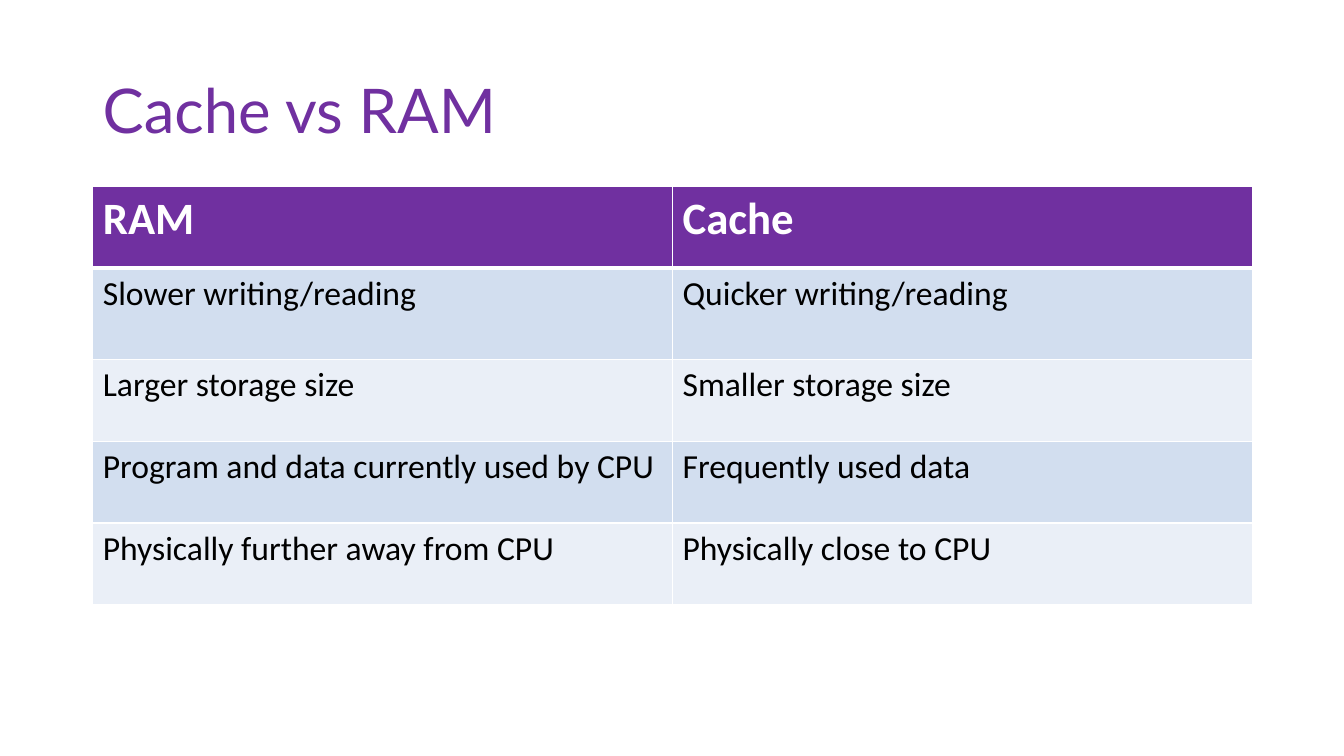
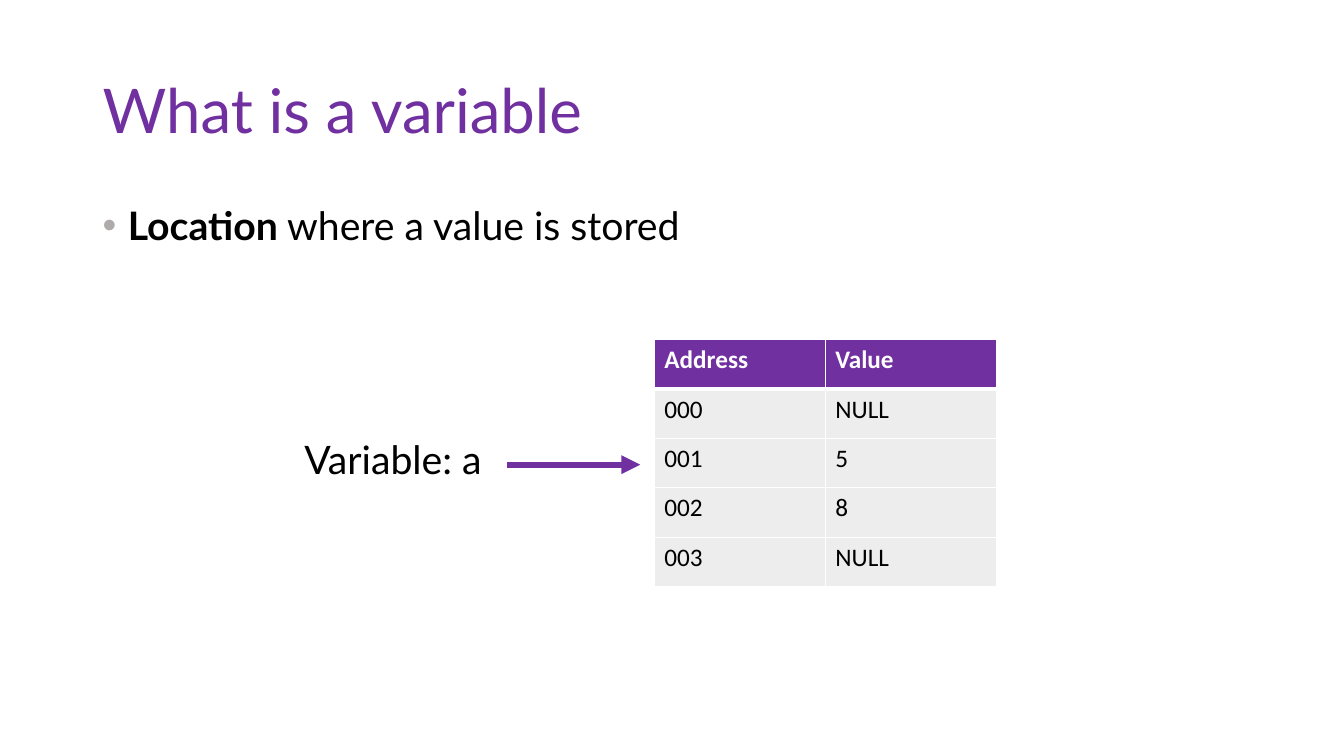
"""Builds two slides on memory and variables."""
from lxml.etree import SubElement
from pptx import Presentation
from pptx.dml.color import RGBColor
from pptx.enum.shapes import MSO_CONNECTOR
from pptx.enum.text import MSO_ANCHOR
from pptx.oxml import parse_xml
from pptx.oxml.ns import nsdecls, qn
from pptx.util import Inches, Pt

COLORS = {
    "purple": "7030A0",
    "white": "FFFFFF",
    "black": "000000",
    "bullet": "AFABAB",
    "blue band": "D2DEEF",
    "pale band": "EAEFF7",
    "gray band": "EDEDED",
}
HEADING_FONT = "Lato"
TABLE_FONT = "Calibri"
LEFT, WIDTH = 0.92, 11.5


def color(name):
    """Return the named colour."""
    return RGBColor.from_string(COLORS[name])


def add_span(para, text, size, tint="black", name=HEADING_FONT, bold=False):
    """Add a formatted run to a paragraph."""
    span = para.add_run()
    span.text = text
    for key, value in {"size": Pt(size), "name": name, "bold": bold}.items():
        setattr(span.font, key, value)
    span.font.color.rgb = color(tint)


def add_text(page, area, spans, anchor=MSO_ANCHOR.TOP, **spacing):
    """Add a one-paragraph text box from keyword sets for its spans."""
    box = page.shapes.add_textbox(*map(Inches, area))
    box.text_frame.word_wrap = True
    box.text_frame.vertical_anchor = anchor
    para = box.text_frame.paragraphs[0]
    for key, value in spacing.items():
        setattr(para, key, value)
    for span in spans:
        add_span(para, **span)
    return para


def add_page(deck, title):
    """Add a blank page with the shared title style."""
    page = deck.slides.add_slide(deck.slide_layouts[6])
    add_text(page, (LEFT, 0.4, WIDTH, 1.45),
             [{"text": title, "size": 44, "tint": "purple"}],
             MSO_ANCHOR.MIDDLE, line_spacing=0.9)
    return page


def add_bullet(para):
    """Give a paragraph a gray bullet and a hanging indent."""
    properties = para._p.get_or_add_pPr()
    properties.set("marL", str(Inches(0.25)))
    properties.set("indent", str(-Inches(0.25)))
    tint = SubElement(properties, qn("a:buClr"))
    SubElement(tint, qn("a:srgbClr"), val=COLORS["bullet"])
    SubElement(properties, qn("a:buFont"), typeface="Arial")
    SubElement(properties, qn("a:buChar"), char="•")


def set_borders(cell, top, bottom):
    """Draw white cell borders with the given top and bottom widths."""
    properties = cell._tc.get_or_add_tcPr()
    for side, width in {"L": 1, "R": 1, "T": top, "B": bottom}.items():
        properties.append(parse_xml(
            f'<a:ln{side} {nsdecls("a")} w="{Pt(width)}"><a:solidFill>'
            f'<a:srgbClr val="{COLORS["white"]}"/></a:solidFill></a:ln{side}>'))


def add_grid(page, area, rows, heights, sizes, bands):
    """Add a table with a purple header and cycling body bands."""
    header_size, body_size = sizes
    table = page.shapes.add_table(
        len(rows), len(rows[0]), *map(Inches, area)).table
    table.horz_banding = False
    for row_index, (texts, height) in enumerate(zip(rows, heights)):
        header = row_index == 0
        table.rows[row_index].height = Inches(height)
        fill = "purple" if header else bands[(row_index - 1) % len(bands)]
        for column_index, text in enumerate(texts):
            cell = table.cell(row_index, column_index)
            set_borders(cell, 3 if row_index == 1 else 1, 3 if header else 1)
            cell.fill.solid()
            cell.fill.fore_color.rgb = color(fill)
            add_span(cell.text_frame.paragraphs[0], text,
                     header_size if header else body_size,
                     "white" if header else "black", TABLE_FONT, header)


def add_arrow(page, start, end):
    """Add a thick purple arrow between two points."""
    arrow = page.shapes.add_connector(
        MSO_CONNECTOR.STRAIGHT, *map(Inches, start + end))
    arrow.line.color.rgb = color("purple")
    arrow.line.width = Pt(4.5)
    SubElement(arrow.line._get_or_add_ln(), qn("a:tailEnd"), type="triangle")
    SubElement(arrow._element.spPr, qn("a:effectLst"))


def build_comparison(deck):
    """Build the page that compares cache and RAM."""
    page = add_page(deck, "Cache vs RAM")
    rows = [
        ("RAM", "Cache"),
        ("Slower writing/reading", "Quicker writing/reading"),
        ("Larger storage size", "Smaller storage size"),
        ("Program and data currently used by CPU", "Frequently used data"),
        ("Physically further away from CPU", "Physically close to CPU"),
    ]
    add_grid(page, (LEFT, 1.85, WIDTH, 4.15), rows,
             [0.81, 0.91, 0.81, 0.81, 0.81], (32, 24),
             ("blue band", "pale band"))


def build_variable(deck):
    """Build the page that shows a variable as a memory location."""
    page = add_page(deck, "What is a variable")
    para = add_text(page, (LEFT, 2, WIDTH, 4.76),
                    [{"text": "Location", "size": 28, "bold": True},
                     {"text": " where a value is stored", "size": 28}],
                    line_spacing=0.9, space_before=Pt(10))
    add_bullet(para)
    rows = [("Address", "Value"), ("000", "NULL"), ("001", "5"),
            ("002", "8"), ("003", "NULL")]
    add_grid(page, (6.49, 3.37, 3.39, 2.47), rows, [0.49] * len(rows),
             (18, 18), ("gray band",))
    add_text(page, (2.92, 4.36, 2.11, 0.5),
             [{"text": "Variable: a", "size": 28}],
             line_spacing=0.8, space_before=Pt(10))
    add_arrow(page, (5.03, 4.61), (6.35, 4.61))


def main():
    """Build and save the deck."""
    deck = Presentation()
    deck.slide_width, deck.slide_height = Inches(13.33), Inches(7.5)
    build_comparison(deck)
    build_variable(deck)
    deck.save("out.pptx")


main()
